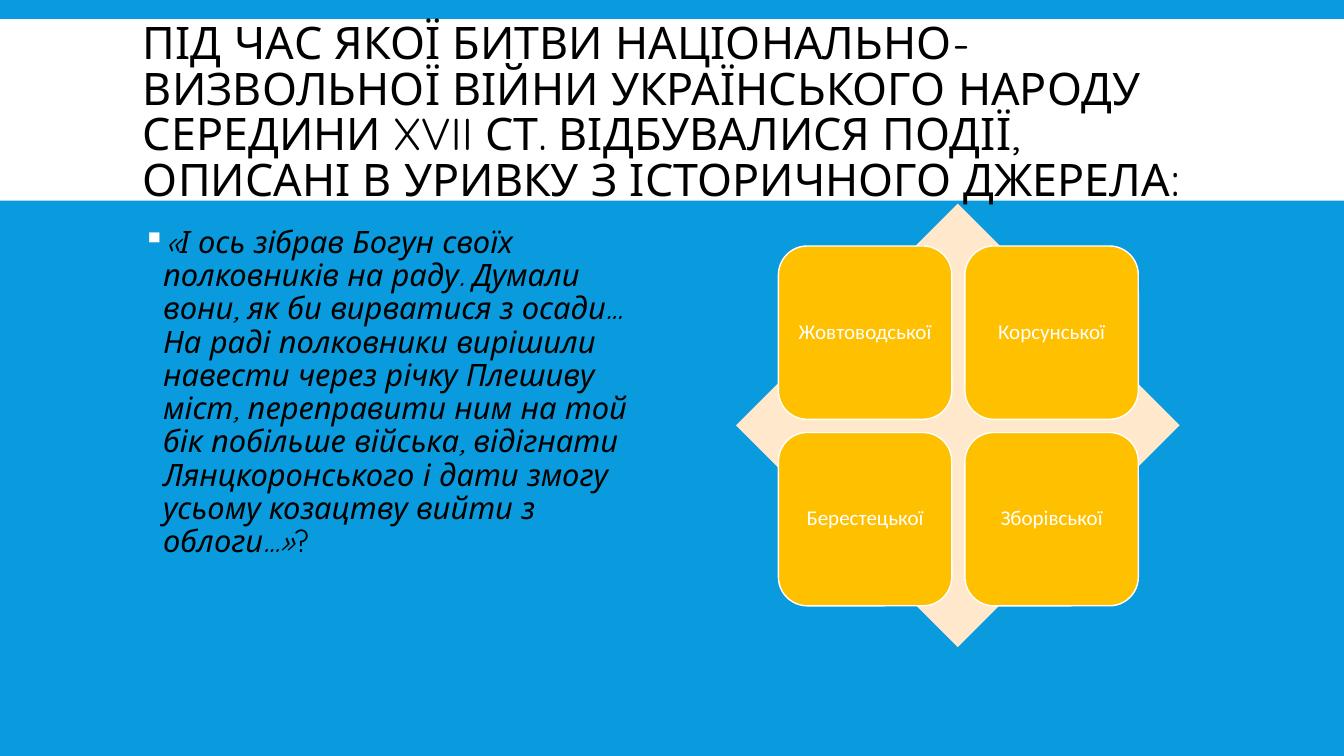
from lxml.etree import SubElement
from pptx import Presentation
from pptx.dml.color import RGBColor
from pptx.enum.shapes import MSO_SHAPE as Shape
from pptx.enum.text import MSO_ANCHOR as Anchor, PP_ALIGN as Align
from pptx.oxml.ns import qn
from pptx.util import Inches, Pt

BLUE = RGBColor(0x09, 0x9B, 0xDD)
WHITE = RGBColor(0xFF, 0xFF, 0xFF)
BLACK = RGBColor(0, 0, 0)
CREAM = RGBColor(0xFF, 0xE8, 0xCC)
GOLD = RGBColor(0xFF, 0xC0, 0x00)

TITLE = (
    "ПІД ЧАС ЯКОЇ БИТВИ НАЦІОНАЛЬНО-ВИЗВОЛЬНОЇ ВІЙНИ УКРАЇНСЬКОГО НАРОДУ "
    "СЕРЕДИНИ XVII СТ. ВІДБУВАЛИСЯ ПОДІЇ, ОПИСАНІ В УРИВКУ З ІСТОРИЧНОГО ДЖЕРЕЛА:"
)
QUOTE = (
    "«І ось зібрав Богун своїх полковників на раду. Думали вони, як би вирватися "
    "з осади... На раді полковники вирішили навести через річку Плешиву міст, "
    "переправити ним на той бік побільше війська, відігнати Лянцкоронського і "
    "дати змогу усьому козацтву вийти з облоги...»"
)
BATTLES = ["Жовтоводської", "Корсунської", "Берестецької", "Зборівської"]


def add_box(slide, kind, left, top, width, height, fill):
    """Add a filled shape with no outline or shadow."""
    box = slide.shapes.add_shape(
        kind, Inches(left), Inches(top), Inches(width), Inches(height))
    box.shadow.inherit = False
    box.fill.solid()
    box.fill.fore_color.rgb = fill
    box.line.fill.background()
    return box


def add_frame(slide, left, top, width, height):
    """Add a wrapping text box and return its frame."""
    box = slide.shapes.add_textbox(
        Inches(left), Inches(top), Inches(width), Inches(height))
    box.text_frame.word_wrap = True
    return box.text_frame


def set_font(run, name, size, color, italic=False):
    """Format one run."""
    font = run.font
    font.name, font.size, font.italic = name, Pt(size), italic
    font.color.rgb = color


def add_bullet(para):
    """Give a paragraph a hanging white square bullet."""
    props = para._p.get_or_add_pPr()
    props.set("marL", str(Inches(0.2)))
    props.set("indent", str(-Inches(0.2)))
    color = SubElement(props, qn("a:buClr"))
    SubElement(color, qn("a:srgbClr"), val=str(WHITE))
    SubElement(props, qn("a:buChar"), char="▪")


def add_title(slide):
    """Add the question on its white band."""
    add_box(slide, Shape.RECTANGLE, 0, 0.19, 13.33, 1.8, WHITE)
    frame = add_frame(slide, 1.32, 0.31, 10.7, 1.65)
    frame.vertical_anchor = Anchor.MIDDLE
    frame.text = TITLE
    para = frame.paragraphs[0]
    para.line_spacing = 0.85
    set_font(para.runs[0], "Quicksand", 32, BLACK)


def add_quote(slide):
    """Add the bulleted passage."""
    para = add_frame(slide, 1.32, 2.2, 5.2, 4.6).paragraphs[0]
    add_bullet(para)
    para.line_spacing = 0.9
    para.space_after = Pt(2)
    for text, italic in [(QUOTE, True), ("?", False)]:
        run = para.add_run()
        run.text = text
        set_font(run, "Quicksand", 22, BLACK, italic)


def add_card(slide, left, top, text):
    """Add one rounded answer card."""
    card = add_box(slide, Shape.ROUNDED_RECTANGLE, left, top, 1.72, 1.72, GOLD)
    card.line.color.rgb = WHITE
    card.line.width = Pt(1)
    frame = card.text_frame
    frame.word_wrap = True
    frame.vertical_anchor = Anchor.MIDDLE
    frame.margin_left = frame.margin_right = Inches(0.06)
    frame.margin_top = frame.margin_bottom = Inches(0.06)
    frame.text = text
    para = frame.paragraphs[0]
    para.alignment = Align.CENTER
    para.line_spacing = 0.9
    set_font(para.runs[0], "Calibri", 15, WHITE)


def add_matrix(slide):
    """Add the diamond and its two by two answers."""
    add_box(slide, Shape.DIAMOND, 7.3, 2.02, 4.4, 4.4, CREAM)
    for i, battle in enumerate(BATTLES):
        row, col = divmod(i, 2)
        add_card(slide, 7.72 + col * 1.85, 2.44 + row * 1.85, battle)


def main():
    """Build and save the slide."""
    deck = Presentation()
    deck.slide_width, deck.slide_height = Inches(13.33), Inches(7.5)
    slide = deck.slides.add_slide(deck.slide_layouts[6])
    slide.background.fill.solid()
    slide.background.fill.fore_color.rgb = BLUE
    add_title(slide)
    add_quote(slide)
    add_matrix(slide)
    deck.save("out.pptx")


if __name__ == "__main__":
    main()
